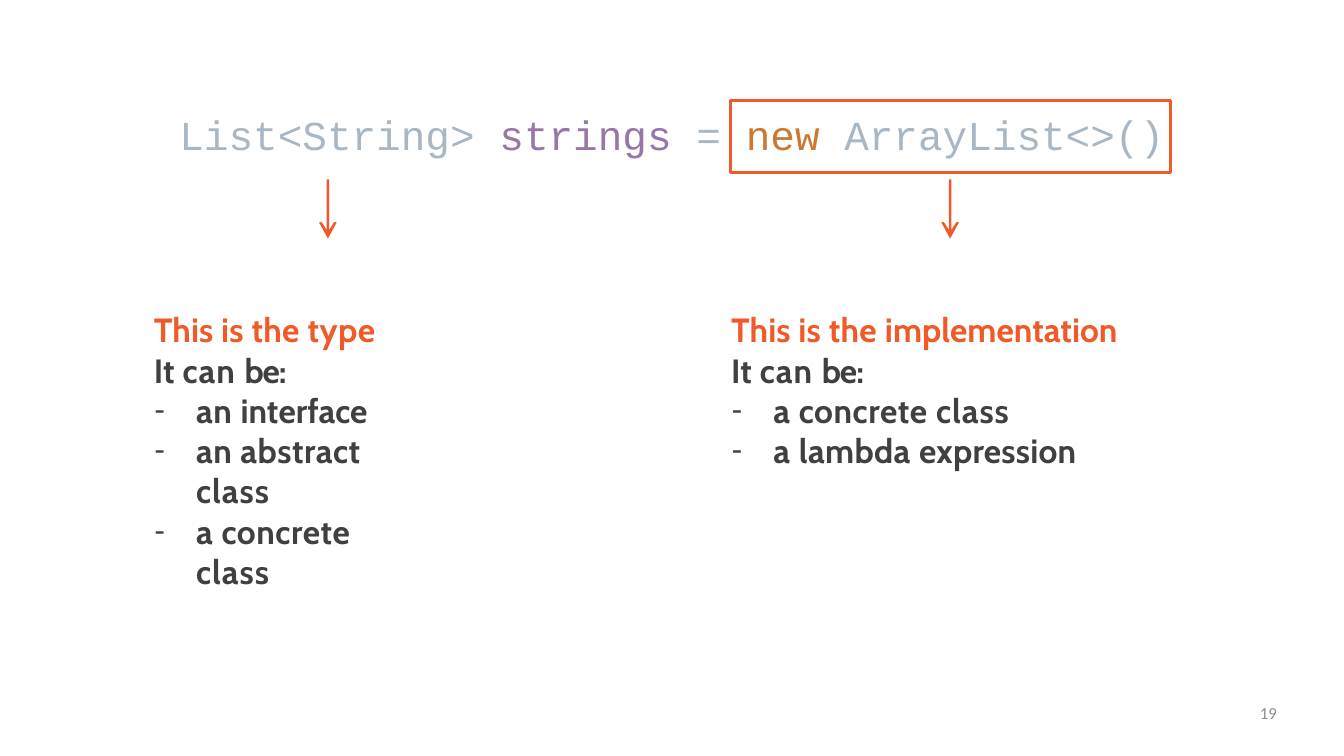
from typing import NamedTuple

import pptx
import pptx.dml.color
import pptx.enum.shapes
import pptx.enum.text
import pptx.oxml
import pptx.oxml.ns
import pptx.util
from pptx.util import Inches

ORANGE, DARK, GREY = "EF5A28", "404040", "8C8C8C"
PALE, PURPLE, AMBER = "A9B7C5", "9776AA", "CC7831"
MONO, SANS = "Courier New", "Cabin"

# Right half of an arrow, from tail to tip: offset from its axis, height on slide
HALF = [(0.02, 2.67), (0.02, 3.42), (0.09, 3.31), (0.11, 3.3),
        (0.12, 3.3), (0.13, 3.32), (0.12, 3.33), (0, 3.55)]


class Run(NamedTuple):
    text: str
    gap: float = 0  # letter spacing in points
    color: str = ""


class Note(NamedTuple):
    left: float
    width: float
    height: float
    inset: float
    head: list[Run]
    items: list[list[Run]]


def rgb(code: str) -> pptx.dml.color.RGBColor:
    return pptx.dml.color.RGBColor.from_string(code)


def add_node(parent, tag: str, **attrs: str) -> None:
    node = pptx.oxml.parse_xml(f"<a:{tag} {pptx.oxml.ns.nsdecls('a')}/>")
    for name, value in attrs.items():
        node.set(name, value)
    parent.append(node)


def set_frame(shape, top: float, right: float = 0):
    frame = shape.text_frame
    frame.word_wrap = True
    frame.vertical_anchor = pptx.enum.text.MSO_ANCHOR.TOP
    frame.margin_left = frame.margin_bottom = 0
    frame.margin_top, frame.margin_right = Inches(top), Inches(right)
    return frame


def add_box(slide, left: float, top: float, width: float, height: float):
    return slide.shapes.add_textbox(Inches(left), Inches(top), Inches(width), Inches(height))


def write(para, runs: list[Run], font: str, size: float, color: str, bold: bool = False) -> None:
    para.font.name, para.font.size, para.font.bold = font, pptx.util.Pt(size), bold
    para.font.color.rgb = rgb(color)
    for item in runs:
        run = para.add_run()
        run.text = item.text
        if item.color:
            run.font.color.rgb = rgb(item.color)
        if item.gap:
            run._r.get_or_add_rPr().set("spc", str(round(item.gap * 100)))


def indent(para, left: float, first: float = 0, mark: str = "") -> None:
    props = para._p.get_or_add_pPr()
    props.set("marL", str(Inches(left)))
    props.set("indent", str(Inches(first)))
    if mark:
        add_node(props, "buFont", typeface="Calibri")
        add_node(props, "buChar", char=mark)


def add_note(slide, note: Note) -> None:
    box = add_box(slide, note.left, 4.59, note.width, note.height)
    frame = set_frame(box, 0.01, note.inset)
    intro = [Run("It ", 0.2), Run("can ", 1.1), Run("be:", -1.1)]
    para = frame.paragraphs[0]
    indent(para, 0.01)
    write(para, note.head, SANS, 36, ORANGE, True)
    para = frame.add_paragraph()
    indent(para, 0.01)
    write(para, intro, SANS, 36, DARK, True)
    for runs in note.items:
        para = frame.add_paragraph()
        indent(para, 0.64, -0.62, "-")
        write(para, runs, SANS, 36, DARK, True)


def add_arrow(slide, mid: float) -> None:
    left = [(-x, y) for x, y in reversed(HALF[:-1])]
    points = [(Inches(mid + x), Inches(y)) for x, y in HALF + left]
    outline = slide.shapes.build_freeform(*points[0])
    outline.add_line_segments(points[1:], close=True)
    arrow = outline.convert_to_shape()
    arrow.shadow.inherit = False
    arrow.fill.solid()
    arrow.fill.fore_color.rgb = rgb(ORANGE)
    arrow.line.fill.background()


def main() -> None:
    deck = pptx.Presentation()
    deck.slide_width, deck.slide_height = Inches(20), Inches(11.25)
    slide = deck.slides.add_slide(deck.slide_layouts[6])

    # Declaration: the type and the variable
    para = set_frame(add_box(slide, 2.66, 1.62, 8.15, 0.76), 0.01).paragraphs[0]
    indent(para, 0.01)
    write(para, [Run("List<String> ", -0.05), Run("strings ", -0.05, PURPLE), Run("=")],
          MONO, 44, PALE)

    # Framed implementation
    rect = slide.shapes.add_shape(
        pptx.enum.shapes.MSO_SHAPE.RECTANGLE,
        Inches(10.87), Inches(1.5), Inches(6.55), Inches(1.07))
    rect.shadow.inherit = False
    rect.fill.background()
    rect.line.color.rgb = rgb(ORANGE)
    rect.line.width = pptx.util.Pt(3)
    para = set_frame(rect, 0.13).paragraphs[0]
    para.alignment = pptx.enum.text.PP_ALIGN.LEFT
    indent(para, 0.23)
    write(para, [Run("new ", -0.1, AMBER), Run("ArrayList<>()", -0.05)], MONO, 44, PALE)

    # Arrows and explanations
    for mid in (4.88, 14.14):
        add_arrow(slide, mid)
    lead = [Run("This ", 0.1), Run("is ", 0.2), Run("the ", 0.3)]
    solid = [Run("a ", 0.55), Run("concrete ", 0.6), Run("class", 1.05)]
    notes = [
        Note(2.28, 4.65, 3.03, 0.9, lead + [Run("type", 0.5)],
             [[Run("an ", 0.55), Run("interface")],
              [Run("an abstract ", 0.55), Run("class", 1.05)],
              solid]),
        Note(10.87, 6.29, 2.43, 0, lead + [Run("implementation", 0.05)],
             [solid,
              [Run("a ", 0.55), Run("lambda ", 0.45), Run("expression", 0.25)]]),
    ]
    for note in notes:
        add_note(slide, note)

    # Page number
    para = set_frame(add_box(slide, 14.4, 10.46, 4.6, 0.56), 0).paragraphs[0]
    para.alignment = pptx.enum.text.PP_ALIGN.RIGHT
    write(para, [Run("19")], "Calibri", 18, GREY)

    deck.save("out.pptx")


if __name__ == "__main__":
    main()
